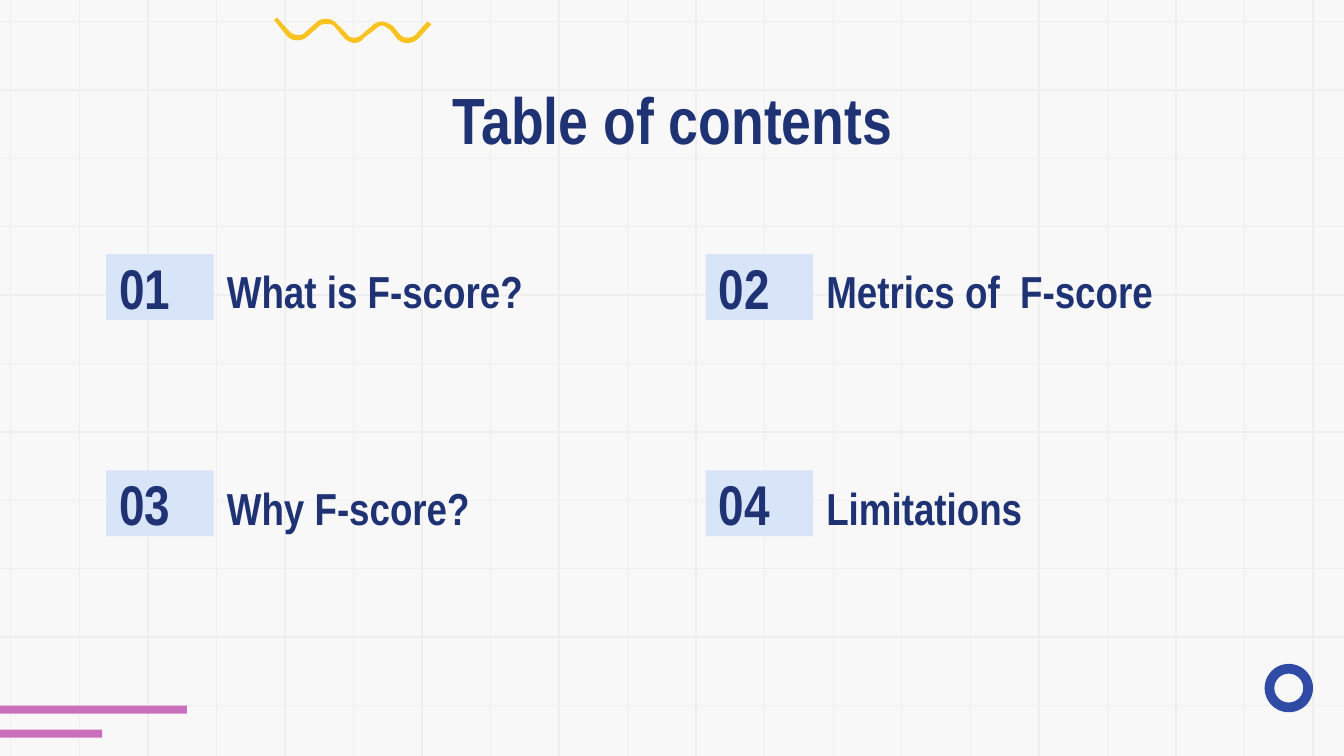
import dataclasses
import typing

import pptx
import pptx.dml.color
import pptx.enum.shapes
import pptx.enum.text
import pptx.oxml.ns
import pptx.util
from lxml import etree

Inches = pptx.util.Inches
Pt = pptx.util.Pt
RGBColor = pptx.dml.color.RGBColor
Anchor = pptx.enum.text.MSO_ANCHOR
Align = pptx.enum.text.PP_ALIGN
ShapeType = pptx.enum.shapes.MSO_SHAPE

PAPER = RGBColor(0xF8, 0xF8, 0xF8)
GRID = RGBColor(0xEF, 0xEF, 0xEF)
NAVY = RGBColor(0x1F, 0x33, 0x74)
PALE_BLUE = RGBColor(0xD8, 0xE4, 0xF7)
BLUE = RGBColor(0x30, 0x4B, 0xA6)
PINK = RGBColor(0xCB, 0x6E, 0xBE)
YELLOW = RGBColor(0xF8, 0xC2, 0x20)

WIDTH = 10
HEIGHT = WIDTH * 9 / 16
NUMBER_WIDTH, TOPIC_WIDTH, ENTRY_HEIGHT = 0.8, 3.16, 0.49
COLUMNS, ROWS = (0.79, 5.25), (1.89, 3.5)
TOPICS = ("What is F-score?", "Metrics of  F-score", "Why F-score?", "Limitations")

# Each step is a line (x, y) or a cubic curve (x1, y1, x2, y2, x, y).
SQUIGGLE_START = (2.06, 0.13)
SQUIGGLE_STEPS = (
    (2.04, 0.15), (2.13, 0.26),
    (2.15, 0.29, 2.18, 0.3, 2.22, 0.3), (2.24, 0.3, 2.27, 0.29, 2.29, 0.27),
    (2.38, 0.19),
    (2.39, 0.18, 2.41, 0.18, 2.43, 0.18), (2.46, 0.18, 2.48, 0.18, 2.49, 0.2),
    (2.55, 0.27),
    (2.57, 0.3, 2.6, 0.31, 2.63, 0.32), (2.66, 0.32, 2.69, 0.31, 2.71, 0.28),
    (2.79, 0.22),
    (2.81, 0.2, 2.83, 0.19, 2.85, 0.19), (2.87, 0.2, 2.89, 0.21, 2.91, 0.23),
    (2.94, 0.27),
    (2.96, 0.3, 2.99, 0.32, 3.03, 0.32), (3.06, 0.32, 3.09, 0.31, 3.12, 0.28),
    (3.21, 0.18), (3.18, 0.16), (3.09, 0.26),
    (3.07, 0.28, 3.05, 0.28, 3.03, 0.28), (3, 0.28, 2.99, 0.27, 2.97, 0.25),
    (2.93, 0.2),
    (2.91, 0.18, 2.88, 0.17, 2.85, 0.16), (2.82, 0.16, 2.79, 0.17, 2.77, 0.19),
    (2.69, 0.26),
    (2.68, 0.27, 2.66, 0.28, 2.63, 0.28), (2.61, 0.28, 2.59, 0.27, 2.58, 0.25),
    (2.51, 0.18),
    (2.49, 0.16, 2.47, 0.14, 2.42, 0.14), (2.4, 0.14, 2.37, 0.15, 2.35, 0.17),
    (2.26, 0.25),
    (2.25, 0.26, 2.23, 0.26, 2.22, 0.26), (2.19, 0.26, 2.17, 0.25, 2.16, 0.24),
)


@dataclasses.dataclass
class Box:
    left: float
    top: float
    width: float
    height: float

    def lengths(self) -> list[int]:
        return [Inches(value) for value in dataclasses.astuple(self)]


@dataclasses.dataclass
class Entry:
    number: str
    topic: str
    left: float
    top: float


def paint(shape: typing.Any, color: RGBColor) -> None:
    shape.shadow.inherit = False
    shape.fill.solid()
    shape.fill.fore_color.rgb = color
    shape.line.fill.background()


def add_solid(slide: typing.Any, kind: ShapeType, box: Box, color: RGBColor) -> typing.Any:
    shape = slide.shapes.add_shape(kind, *box.lengths())
    paint(shape, color)
    return shape


def write(shape: typing.Any, text: str, size: float, anchor: Anchor = Anchor.MIDDLE,
          align: Align = Align.LEFT, spacing: float = 1.0) -> None:
    frame = shape.text_frame
    frame.text = text
    paragraph = frame.paragraphs[0]
    margins = dict.fromkeys(
        ("margin_left", "margin_top", "margin_right", "margin_bottom"), Inches(0.1))
    formats = (
        (frame, {"word_wrap": True, "auto_size": pptx.enum.text.MSO_AUTO_SIZE.NONE,
                 "vertical_anchor": anchor, **margins}),
        (paragraph, {"alignment": align, "line_spacing": spacing}),
        (paragraph.runs[0].font, {"name": "Arial Narrow", "size": Pt(size), "bold": True}),
    )
    for target, values in formats:
        for name, value in values.items():
            setattr(target, name, value)
    paragraph.runs[0].font.color.rgb = NAVY


def add_grid_line(slide: typing.Any, x1: float, y1: float, x2: float, y2: float) -> None:
    line = slide.shapes.add_connector(
        pptx.enum.shapes.MSO_CONNECTOR.STRAIGHT,
        Inches(x1), Inches(y1), Inches(x2), Inches(y2))
    line.line.color.rgb = GRID
    line.line.width = Pt(0.75)
    etree.SubElement(line._element.spPr, pptx.oxml.ns.qn("a:effectLst"))


def add_grid(slide: typing.Any) -> None:
    for row in range(11):
        y = 0.16 + 5.09 * row / 10
        add_grid_line(slide, WIDTH, y, 0, y)
    for column in range(20):
        x = 0.08 + 9.69 * column / 19
        add_grid_line(slide, x, -0.18, x, 5.8)


def curve_points(start: tuple, step: tuple, count: int = 8) -> list[tuple]:
    """Sample a cubic curve, leaving out its start."""
    controls = (start, step[:2], step[2:4], step[4:])
    points = []
    for index in range(1, count + 1):
        t = index / count
        weights = ((1 - t) ** 3, 3 * t * (1 - t) ** 2, 3 * t ** 2 * (1 - t), t ** 3)
        points.append(tuple(
            sum(weight * control[axis] for weight, control in zip(weights, controls))
            for axis in (0, 1)))
    return points


def add_squiggle(slide: typing.Any) -> None:
    points = [SQUIGGLE_START]
    for step in SQUIGGLE_STEPS:
        points += [step] if len(step) == 2 else curve_points(points[-1], step)
    builder = slide.shapes.build_freeform(
        Inches(points[0][0]), Inches(points[0][1]), scale=1.0)
    builder.add_line_segments([(Inches(x), Inches(y)) for x, y in points[1:]], close=True)
    paint(builder.convert_to_shape(), YELLOW)


def add_entry(slide: typing.Any, entry: Entry) -> None:
    number_box = Box(entry.left, entry.top, NUMBER_WIDTH, ENTRY_HEIGHT)
    number = add_solid(slide, ShapeType.RECTANGLE, number_box, PALE_BLUE)
    write(number, entry.number, 30)
    topic_box = Box(entry.left + NUMBER_WIDTH, entry.top, TOPIC_WIDTH, ENTRY_HEIGHT)
    topic = slide.shapes.add_textbox(*topic_box.lengths())
    write(topic, entry.topic, 24, spacing=1.15)


def add_title(slide: typing.Any, text: str) -> None:
    title = slide.shapes.title
    title.left, title.top, title.width, title.height = Box(0.79, 0.49, 8.43, 0.63).lengths()
    write(title, text, 35, anchor=Anchor.TOP, align=Align.CENTER)
    # Bring the title in front of the grid.
    title._element.getparent().append(title._element)


def main() -> None:
    presentation = pptx.Presentation()
    presentation.slide_width = Inches(WIDTH)
    presentation.slide_height = Inches(HEIGHT)
    slide = presentation.slides.add_slide(presentation.slide_layouts[5])
    slide.background.fill.solid()
    slide.background.fill.fore_color.rgb = PAPER

    add_grid(slide)
    for bar in (Box(0, 5.25, 1.39, 0.06), Box(0, 5.43, 0.76, 0.06)):
        add_solid(slide, ShapeType.RECTANGLE, bar, PINK)
    ring = add_solid(slide, ShapeType.DONUT, Box(9.41, 4.94, 0.36, 0.36), BLUE)
    ring.adjustments[0] = 0.2
    add_squiggle(slide)
    add_title(slide, "Table of contents")
    for index, topic in enumerate(TOPICS):
        row, column = divmod(index, len(COLUMNS))
        add_entry(slide, Entry(f"{index + 1:02}", topic, COLUMNS[column], ROWS[row]))
    presentation.save("out.pptx")


if __name__ == "__main__":
    main()
